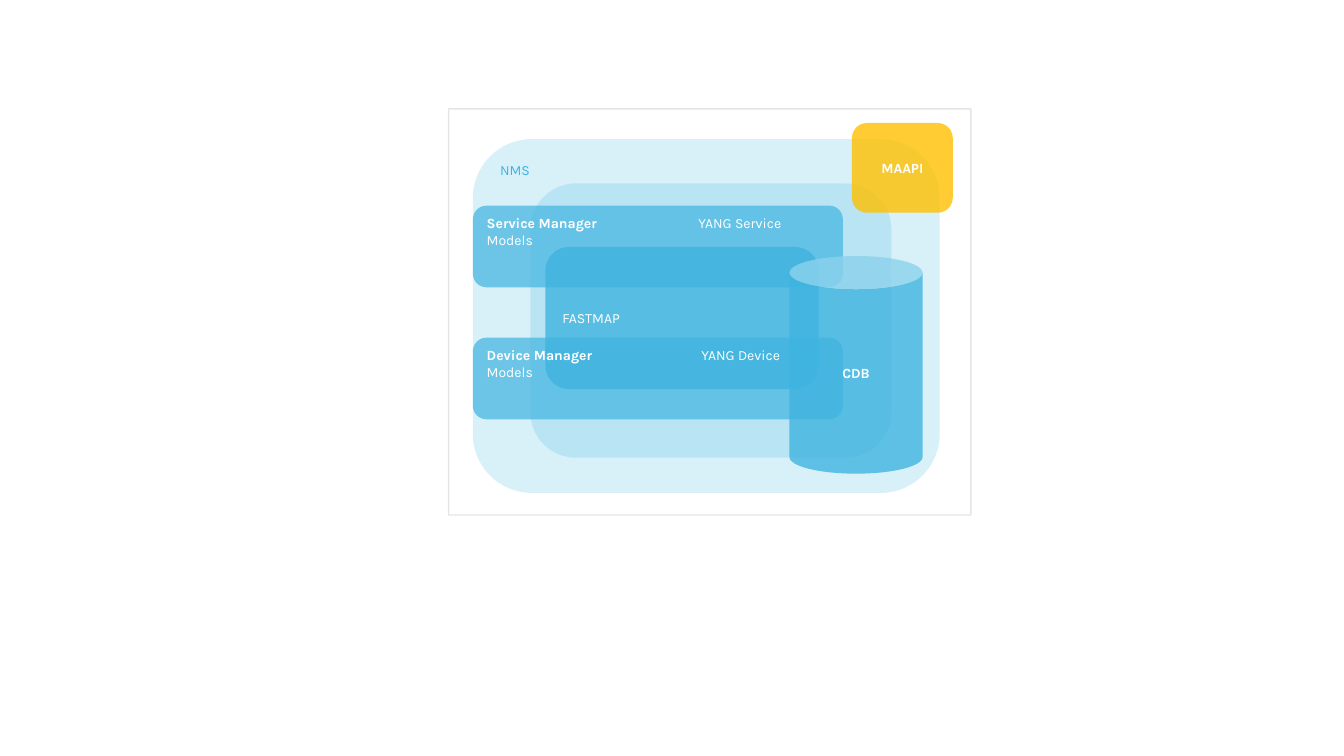
from lxml.etree import SubElement
from pptx import Presentation
from pptx.dml.color import RGBColor
from pptx.enum.shapes import MSO_SHAPE
from pptx.enum.text import MSO_ANCHOR, PP_ALIGN
from pptx.oxml.ns import qn
from pptx.util import Inches, Pt

COLORS = {"blue": "3FB4E0", "yellow": "FFC000", "grey": "808080", "white": "FFFFFF"}


class Diagram:
    """Holds the text style and the current slide, and draws its elements."""

    font, size = "Karla", 10

    def __init__(self, s):
        """Keep the slide to draw on."""
        self.s = s

    def paint(self, fill, color, opacity):
        """Set a solid colour with the given opacity in percent."""
        fill.solid()
        fill.fore_color.rgb = RGBColor.from_string(COLORS[color])
        clr = fill._xPr.find(qn("a:solidFill"))[0]
        SubElement(clr, qn("a:alpha"), val=str(opacity * 1000))

    def frame(self, x, y, w, h):
        """Draw the thin outline around the diagram."""
        sp = self.s.shapes.add_shape(MSO_SHAPE.RECTANGLE, *map(Inches, (x, y, w, h)))
        sp.shadow.inherit = False
        sp.fill.background()
        sp.line.width = Pt(1)
        self.paint(sp.line.fill, "grey", 20)

    def block(self, x, y, w, h, opacity, kind=MSO_SHAPE.ROUNDED_RECTANGLE, fill="blue"):
        """Draw a translucent shape without outline."""
        sp = self.s.shapes.add_shape(kind, *map(Inches, (x, y, w, h)))
        sp.shadow.inherit = False
        sp.line.fill.background()
        self.paint(sp.fill, fill, opacity)
        return sp

    def label(self, sp, text, color="white", bold=False,
              align=PP_ALIGN.LEFT, anchor=MSO_ANCHOR.MIDDLE):
        """Write a one-line label in a shape."""
        tf = sp.text_frame
        tf.text = text
        tf.word_wrap = True
        tf.vertical_anchor = anchor
        p = tf.paragraphs[0]
        p.alignment = align
        self.style(p.runs[0], color, bold)
        return p

    def style(self, r, color, bold):
        """Format one run."""
        r.font.name, r.font.size, r.font.bold = self.font, Pt(self.size), bold
        r.font.color.rgb = RGBColor.from_string(COLORS[color])

    def manager(self, y, name, models, tab):
        """Draw a manager band with its name and, after a tab, its models."""
        sp = self.block(4.69, y, 3.67, 0.81, 70)
        p = self.label(sp, name, bold=True, anchor=MSO_ANCHOR.TOP)
        sp.text_frame.margin_right = Inches(0.2)
        tabs = SubElement(p._p.get_or_add_pPr(), qn("a:tabLst"))
        SubElement(tabs, qn("a:tab"), pos=str(Inches(tab)), algn="l")
        r = p.add_run()
        r.text = "\t" + models
        self.style(r, "white", False)


def main():
    """Build the slide and save it."""
    prs = Presentation()
    prs.slide_width, prs.slide_height = Inches(13.33), Inches(7.5)
    d = Diagram(prs.slides.add_slide(prs.slide_layouts[6]))

    d.frame(4.45, 1.08, 5.18, 4.03)
    system = d.block(4.69, 1.38, 4.63, 3.51, 20)
    d.label(system, "NMS", "blue", anchor=MSO_ANCHOR.TOP)
    d.block(5.26, 1.82, 3.58, 2.72, 20)
    d.label(d.block(5.41, 2.45, 2.71, 1.41, 80), "FASTMAP")
    d.manager(2.04, "Service Manager", "YANG Service Models", 2.1)
    d.manager(3.35, "Device Manager", "YANG Device Models", 2.13)
    cdb = d.block(7.83, 2.54, 1.32, 2.16, 80, MSO_SHAPE.CAN)
    d.label(cdb, "CDB", bold=True, align=PP_ALIGN.CENTER)
    maapi = d.block(8.45, 1.22, 1, 0.89, 80, fill="yellow")
    d.label(maapi, "MAAPI", bold=True, align=PP_ALIGN.CENTER)

    prs.save("out.pptx")


if __name__ == "__main__":
    main()
